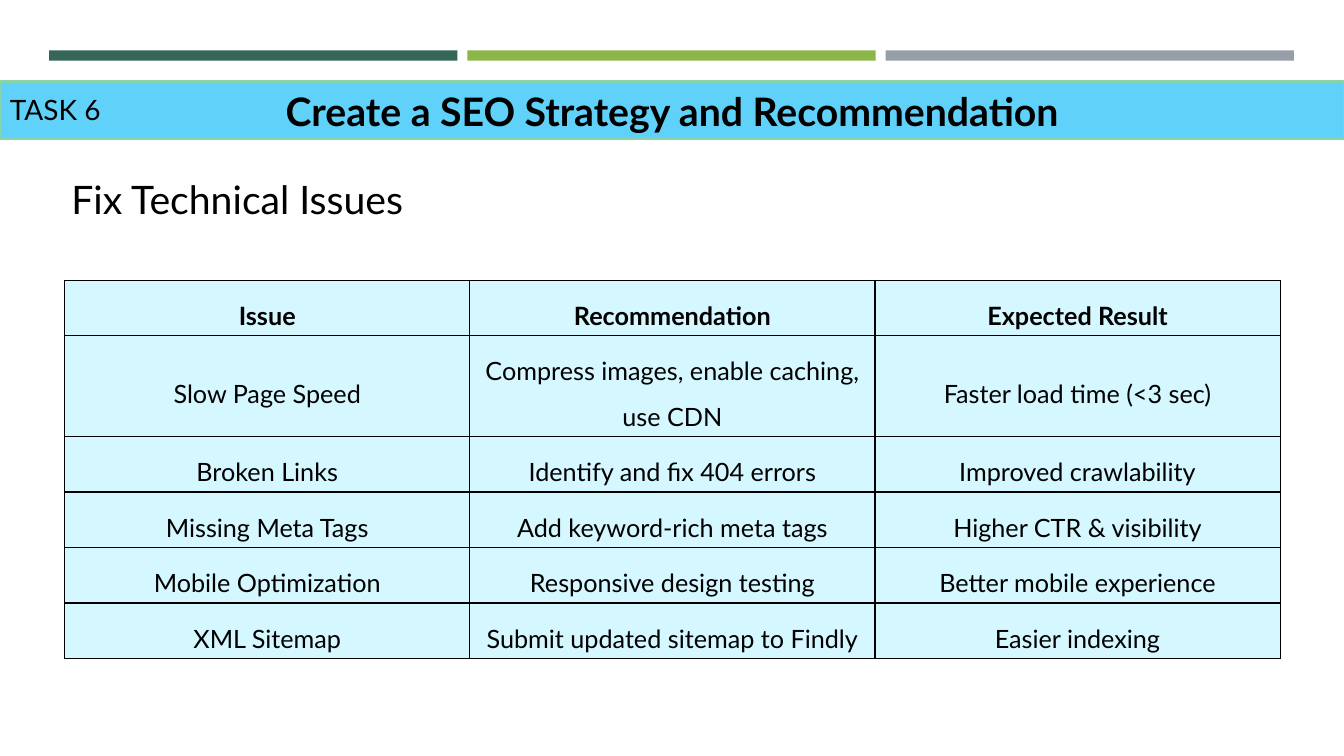
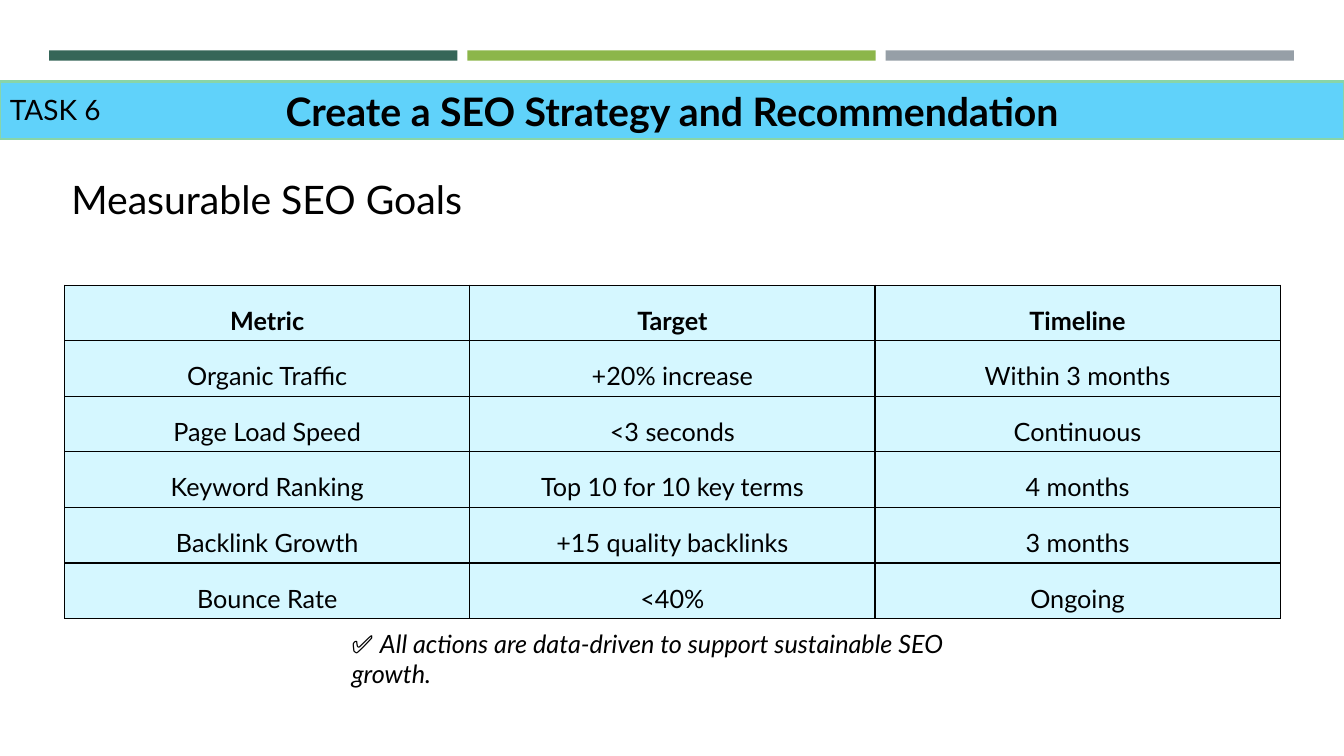
import pptx
import pptx.util
import pptx.dml.color
import pptx.enum.shapes
import pptx.enum.text
import pptx.oxml
import pptx.oxml.ns

Cm = pptx.util.Cm
Pt = pptx.util.Pt
ALIGN = pptx.enum.text.PP_ALIGN
MIDDLE = pptx.enum.text.MSO_ANCHOR.MIDDLE

FONT = "Lato"
BLACK = "000000"
BAND_FILL, BAND_LINE = "60D2FA", "88D5A9"
CELL_FILL = "D5F7FF"
BAR_COLORS = ["366658", "8CB64A", "969FA7"]
SLIDE_WIDTH, SLIDE_HEIGHT = 33.87, 19.05
BAR_LEFT, BAR_TOP, BAR_WIDTH, BAR_HEIGHT, BAR_PITCH = 1.24, 1.27, 10.29, 0.26, 10.54
TABLE_LEFT, COLUMN_WIDTH = 1.63, 10.21
ROW_HEIGHT, TALL_ROW_HEIGHT = 1.4, 2.54

TASK = "TASK 6"
TITLE = "Create a SEO Strategy and Recommendation"
SECTIONS = [
    {
        "heading": "Fix Technical Issues",
        "heading_width": 9.75,
        "table_top": 7.06,
        "tall_rows": [1],
        "rows": [
            ("Issue", "Recommendation", "Expected Result"),
            ("Slow Page Speed", "Compress images, enable caching, use CDN", "Faster load time (<3 sec)"),
            ("Broken Links", "Identify and fix 404 errors", "Improved crawlability"),
            ("Missing Meta Tags", "Add keyword-rich meta tags", "Higher CTR & visibility"),
            ("Mobile Optimization", "Responsive design testing", "Better mobile experience"),
            ("XML Sitemap", "Submit updated sitemap to Findly", "Easier indexing"),
        ],
        "note": None,
    },
    {
        "heading": "Measurable SEO Goals",
        "heading_width": 11.79,
        "table_top": 7.19,
        "tall_rows": [],
        "rows": [
            ("Metric", "Target", "Timeline"),
            ("Organic Traffic", "+20% increase", "Within 3 months"),
            ("Page Load Speed", "<3 seconds", "Continuous"),
            ("Keyword Ranking", "Top 10 for 10 key terms", "4 months"),
            ("Backlink Growth", "+15 quality backlinks", "3 months"),
            ("Bounce Rate", "<40%", "Ongoing"),
        ],
        "note": ("✅ ", "All actions are data-driven to support sustainable SEO growth."),
    },
]


def rgb(value):
    return pptx.dml.color.RGBColor.from_string(value)


def style_run(run, size, bold=False, italic=False):
    run.font.name = FONT
    run.font.size = Pt(size)
    run.font.bold = bold
    run.font.italic = italic
    run.font.color.rgb = rgb(BLACK)


def write(frame, text, size, bold=False, align=ALIGN.LEFT):
    frame.text = text
    paragraph = frame.paragraphs[0]
    paragraph.alignment = align
    style_run(paragraph.runs[0], size, bold)
    return paragraph


def add_rectangle(slide, left, top, width, height, fill):
    rectangle = slide.shapes.add_shape(
        pptx.enum.shapes.MSO_SHAPE.RECTANGLE, Cm(left), Cm(top), Cm(width), Cm(height))
    rectangle.shadow.inherit = False
    rectangle.fill.solid()
    rectangle.fill.fore_color.rgb = rgb(fill)
    rectangle.line.fill.background()
    return rectangle


def add_label(slide, left, top, width, height, text, size):
    frame = slide.shapes.add_textbox(Cm(left), Cm(top), Cm(width), Cm(height)).text_frame
    frame.word_wrap = True
    return write(frame, text, size)


def add_header(slide):
    for index, color in enumerate(BAR_COLORS):
        add_rectangle(slide, BAR_LEFT + index * BAR_PITCH, BAR_TOP, BAR_WIDTH, BAR_HEIGHT, color)
    band = add_rectangle(slide, 0, 2.06, SLIDE_WIDTH, 1.45, BAND_FILL)
    band.line.color.rgb = rgb(BAND_LINE)
    band.line.width = Pt(1.75)
    band.text_frame.vertical_anchor = MIDDLE
    write(band.text_frame, TITLE, 28, True, ALIGN.CENTER)
    add_label(slide, 0, 2.21, 3.1, 1.12, TASK, 20)


def add_borders(cell):
    properties = cell._tc.get_or_add_tcPr()
    for side in ("lnL", "lnR", "lnT", "lnB"):
        properties.append(pptx.oxml.parse_xml(
            f'<a:{side} {pptx.oxml.ns.nsdecls("a")} w="{Pt(1)}">'
            f'<a:solidFill><a:srgbClr val="{BLACK}"/></a:solidFill></a:{side}>'))


def add_grid(slide, top, rows, tall_rows):
    heights = [TALL_ROW_HEIGHT if index in tall_rows else ROW_HEIGHT for index in range(len(rows))]
    columns = len(rows[0])
    table = slide.shapes.add_table(
        len(rows), columns, Cm(TABLE_LEFT), Cm(top),
        Cm(columns * COLUMN_WIDTH), Cm(sum(heights))).table
    table.first_row = False
    table.horz_banding = False
    for column in table.columns:
        column.width = Cm(COLUMN_WIDTH)
    for row_index, texts in enumerate(rows):
        table.rows[row_index].height = Cm(heights[row_index])
        for column_index, text in enumerate(texts):
            cell = table.cell(row_index, column_index)
            add_borders(cell)
            cell.fill.solid()
            cell.fill.fore_color.rgb = rgb(CELL_FILL)
            cell.vertical_anchor = MIDDLE
            write(cell.text_frame, text, 18, row_index == 0, ALIGN.CENTER).line_spacing = 1.5


def main():
    deck = pptx.Presentation()
    deck.slide_width = Cm(SLIDE_WIDTH)
    deck.slide_height = Cm(SLIDE_HEIGHT)
    for section in SECTIONS:
        slide = deck.slides.add_slide(deck.slide_layouts[6])
        add_header(slide)
        add_label(slide, 1.55, 4.29, section["heading_width"], 1.45, section["heading"], 28)
        add_grid(slide, section["table_top"], section["rows"], section["tall_rows"])
        if section["note"]:
            mark, sentence = section["note"]
            note = add_label(slide, 8.61, 15.7, 16.64, 1.02, mark, 18)
            sentence_run = note.add_run()
            sentence_run.text = sentence
            style_run(sentence_run, 18, italic=True)
    deck.save("out.pptx")


if __name__ == "__main__":
    main()
